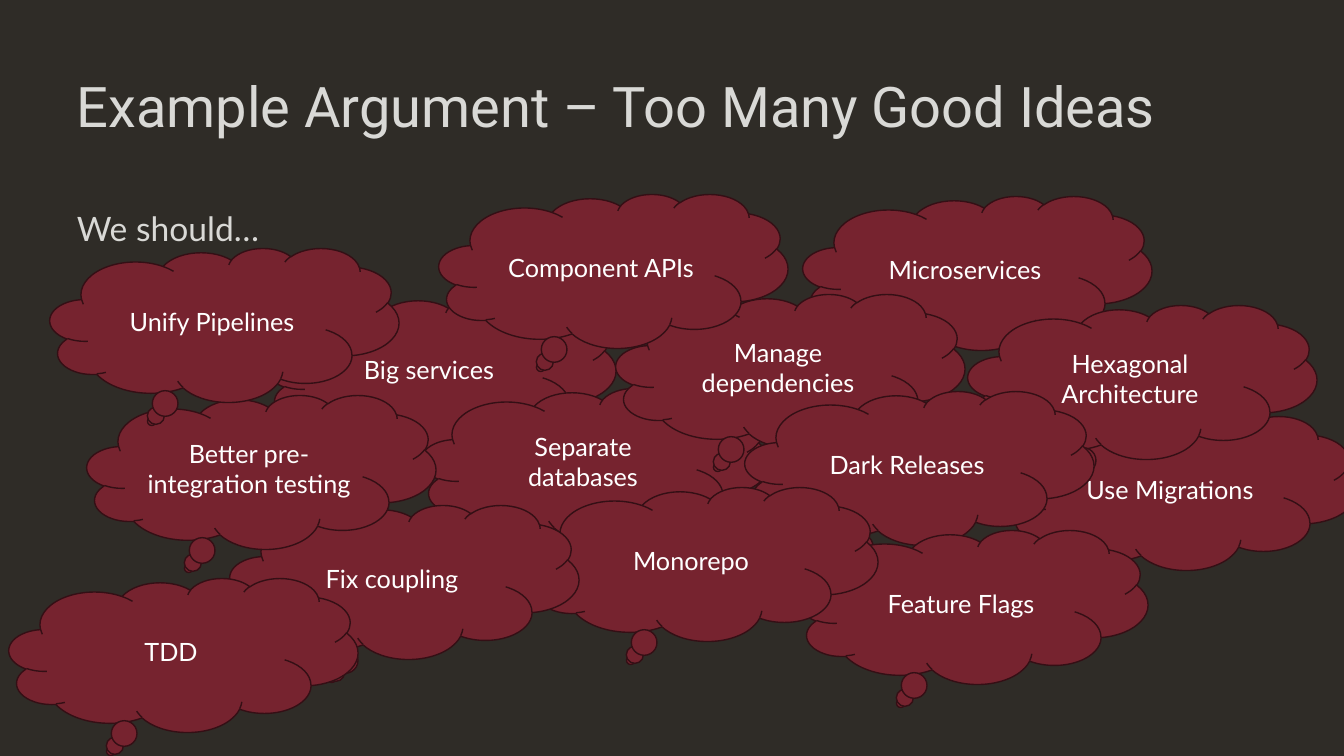
from pptx import Presentation
from pptx.dml.color import RGBColor
from pptx.enum.shapes import MSO_SHAPE
from pptx.enum.text import MSO_ANCHOR, PP_ALIGN
from pptx.util import Pt

EMU_PER_PX = 914400 / 100.8
CLOUD = MSO_SHAPE.CLOUD_CALLOUT
TOP, MIDDLE = MSO_ANCHOR.TOP, MSO_ANCHOR.MIDDLE
LEFT, CENTER = PP_ALIGN.LEFT, PP_ALIGN.CENTER

SLIDE_SIZE = (1344, 756)
BACKGROUND = "2F2C27"
CLOUD_FILL, CLOUD_LINE = "76232F", "340F15"
TITLE_FORMAT = {"name": "Roboto", "size": Pt(40)}
BODY_FORMAT = {"name": "Lato", "size": Pt(24)}
IDEA_FORMAT = {"name": "Lato", "size": Pt(18)}
LIGHT_GREY, WHITE = "D9D9D6", "FFFFFF"

CLOUD_SIZE = (349, 154)
# Ideas from back to front, with the left and top of each cloud
IDEAS = [
    ("Microservices", 803, 196),
    ("Big services", 267, 296),
    ("Separate databases", 421, 388),
    ("Use Migrations", 1008, 416),
    ("Manage dependencies", 616, 294),
    ("Hexagonal Architecture", 968, 305),
    ("Dark Releases", 745, 391),
    ("Feature Flags", 799, 530),
    ("Monorepo", 529, 487),
    ("Component APIs", 439, 194),
    ("Fix coupling", 230, 505),
    ("Better pre-integration testing", 87, 395),
    ("Unify Pipelines", 50, 248),
    ("TDD", 9, 578),
]


def px(*lengths):
    return [round(length * EMU_PER_PX) for length in lengths]


def color(hex_value):
    return RGBColor.from_string(hex_value)


def write(shape, text, font_format, hex_value, anchor, alignment, spacing=1.0):
    frame = shape.text_frame
    frame.word_wrap = True
    frame.vertical_anchor = anchor
    para = frame.paragraphs[0]
    para.alignment = alignment
    para.line_spacing = spacing
    span = para.add_run()
    span.text = text
    for name, value in font_format.items():
        setattr(span.font, name, value)
    span.font.color.rgb = color(hex_value)


def add_text(page, box, text, font_format, anchor):
    shape = page.shapes.add_textbox(*px(*box))
    write(shape, text, font_format, LIGHT_GREY, anchor, LEFT, 0.9)


def add_cloud(page, box, idea):
    cloud = page.shapes.add_shape(CLOUD, *px(*box))
    cloud.shadow.inherit = False
    cloud.fill.solid()
    cloud.fill.fore_color.rgb = color(CLOUD_FILL)
    cloud.line.color.rgb = color(CLOUD_LINE)
    cloud.line.width = Pt(1)
    write(cloud, idea, IDEA_FORMAT, WHITE, MIDDLE, CENTER)


def add_ideas_page(deck):
    page = deck.slides.add_slide(deck.slide_layouts[6])
    page.background.fill.solid()
    page.background.fill.fore_color.rgb = color(BACKGROUND)

    # Title and opening words
    add_text(page, (67, 49, 1210, 121), "Example Argument – Too Many Good Ideas",
             TITLE_FORMAT, MIDDLE)
    add_text(page, (67, 208, 1210, 448), "We should…", BODY_FORMAT, TOP)

    # Overlapping thought clouds
    for idea, left, top in IDEAS:
        add_cloud(page, (left, top, *CLOUD_SIZE), idea)


def main():
    deck = Presentation()
    deck.slide_width, deck.slide_height = px(*SLIDE_SIZE)
    add_ideas_page(deck)
    deck.save("out.pptx")


if __name__ == "__main__":
    main()
